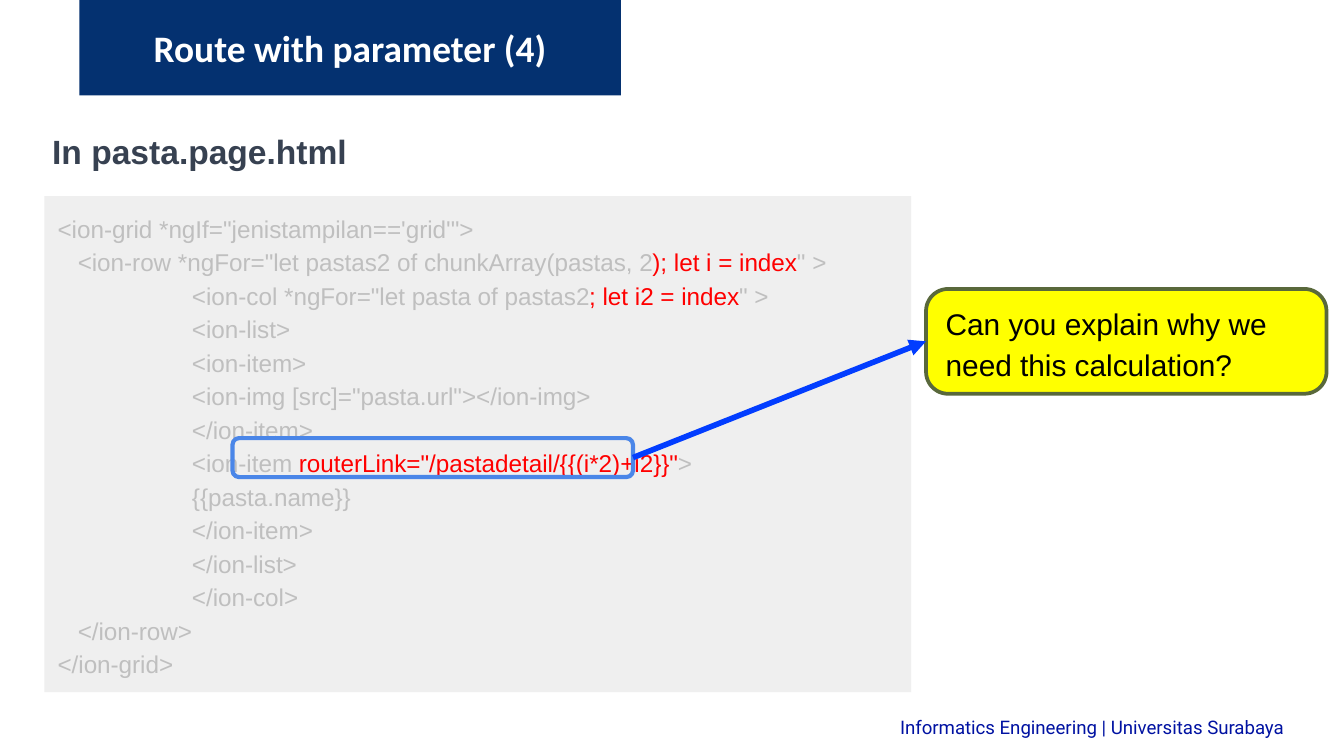
from lxml import etree
from pptx import Presentation
from pptx.dml.color import RGBColor
from pptx.enum.shapes import MSO_CONNECTOR, MSO_SHAPE
from pptx.enum.text import MSO_ANCHOR, MSO_AUTO_SIZE, PP_ALIGN
from pptx.oxml.ns import qn
from pptx.util import Inches, Pt

LEFT, CENTER, RIGHT = PP_ALIGN.LEFT, PP_ALIGN.CENTER, PP_ALIGN.RIGHT
TOP, MIDDLE = MSO_ANCHOR.TOP, MSO_ANCHOR.MIDDLE
RECT, ROUNDED = MSO_SHAPE.RECTANGLE, MSO_SHAPE.ROUNDED_RECTANGLE

# Content
TITLE = "Route with parameter (4)"
HEADING = "In pasta.page.html"
QUESTION = "Can you explain why we need this calculation?"
FOOTER = "Informatics Engineering | Universitas Surabaya"
# Each code line alternates between muted and highlighted parts
CODE = [
    ("<ion-grid *ngIf=\"jenistampilan=='grid'\">",),
    ('   <ion-row *ngFor="let pastas2 of chunkArray(pastas, 2', "); let i = index", '" >'),
    ('  \t<ion-col *ngFor="let pasta of pastas2', "; let i2 = index", '" >'),
    ("     \t<ion-list>",),
    ("        \t<ion-item>",),
    ('           \t<ion-img [src]="pasta.url"></ion-img>',),
    ("        \t</ion-item>",),
    ("        \t<ion-item ", 'routerLink="/pastadetail/{{(i*2)+i2}}"', ">"),
    ("            \t{{pasta.name}}",),
    ("        \t</ion-item>",),
    ("     \t</ion-list>",),
    (" \t</ion-col>",),
    ("   </ion-row>",),
    ("</ion-grid>",),
]
CODE_COLORS = ("BFBFBF", "FF0000")

# Places: left, top, width, height
TITLE_BOX = (0.59, 0, 4.03, 0.71)
HEADING_BOX = (0.29, 0.83, 9.43, 0.5)
CODE_BOX = (0.33, 1.46, 6.45, 3.69)
CALLOUT_BOX = (6.89, 2.15, 2.98, 0.78)
HIGHLIGHT_BOX = (1.73, 3.26, 2.98, 0.29)
FOOTER_BOX = (6.35, 5.28, 3.3, 0.24)

# Fonts
TITLE_FONT = {"name": "Calibri", "size": Pt(20), "bold": True}
HEADING_FONT = {"name": "Arial", "size": Pt(18), "bold": True}
CODE_FONT = {"name": "Arial", "size": Pt(13)}
QUESTION_FONT = {"name": "Arial", "size": Pt(16)}
FOOTER_FONT = {"name": "Roboto", "size": Pt(10)}


def color(hex_value):
    return RGBColor.from_string(hex_value)


def place(box):
    return [Inches(value) for value in box]


def paint(shape, fill):
    shape.fill.solid()
    shape.fill.fore_color.rgb = color(fill)


def add_box(kind, box, fill=None, line=None, width=1, corner=None):
    shape = slide.shapes.add_shape(kind, *place(box))
    shape.shadow.inherit = False
    if corner:
        shape.adjustments[0] = corner
    if fill:
        paint(shape, fill)
    else:
        shape.fill.background()
    if line:
        shape.line.color.rgb = color(line)
        shape.line.width = Pt(width)
    else:
        shape.line.fill.background()
    return shape


def write(shape, lines, font, colors, align=LEFT, anchor=TOP, spacing=1.15, pad=0.1):
    frame = shape.text_frame
    settings = {
        "word_wrap": True, "auto_size": MSO_AUTO_SIZE.NONE, "vertical_anchor": anchor,
        "margin_left": Inches(0.1), "margin_right": Inches(0.1),
        "margin_top": Inches(pad), "margin_bottom": Inches(pad),
    }
    for name, value in settings.items():
        setattr(frame, name, value)
    for number, parts in enumerate(lines):
        paragraph = frame.add_paragraph() if number else frame.paragraphs[0]
        paragraph.alignment = align
        paragraph.line_spacing = spacing
        if any("\t" in part for part in parts):
            tabs = etree.SubElement(paragraph._p.get_or_add_pPr(), qn("a:tabLst"))
            etree.SubElement(tabs, qn("a:tab"), pos=str(Inches(1)), algn="l")
        for index, part in enumerate(parts):
            run = paragraph.add_run()
            run.text = part
            for name, value in font.items():
                setattr(run.font, name, value)
            run.font.color.rgb = color(colors[index % len(colors)])


def add_text(box, text, font, text_color, **layout):
    write(slide.shapes.add_textbox(*place(box)), [(text,)], font, [text_color], **layout)


prs = Presentation()
prs.slide_width, prs.slide_height = Inches(10), Inches(10) * 9 // 16
slide = prs.slides.add_slide(prs.slide_layouts[5])

# Title as a banner with rounded bottom corners
title = slide.shapes.title
title.left, title.top, title.width, title.height = place(TITLE_BOX)
outline = etree.SubElement(title._element.spPr, qn("a:prstGeom"), prst="round2SameRect")
corners = etree.SubElement(outline, qn("a:avLst"))
for name, value in {"adj1": 0, "adj2": 50000}.items():
    etree.SubElement(corners, qn("a:gd"), name=name, fmla=f"val {value}")
paint(title, "043170")
write(title, [(TITLE,)], TITLE_FONT, ["FFFFFF"], align=CENTER, anchor=MIDDLE, spacing=1.0)

# Footer
add_text(FOOTER_BOX, FOOTER, FOOTER_FONT, "0012A2", align=RIGHT, anchor=MIDDLE)

# Code listing under its heading
code = add_box(RECT, CODE_BOX, fill="EFEFEF")
write(code, CODE, CODE_FONT, CODE_COLORS)
add_text(HEADING_BOX, HEADING, HEADING_FONT, "374151")

# Question callout and the code it refers to
callout = add_box(ROUNDED, CALLOUT_BOX, "FFFF00", "59683B", 2, 0.21)
write(callout, [(QUESTION,)], QUESTION_FONT, ["000000"], anchor=MIDDLE, pad=0.05)
highlight = add_box(ROUNDED, HIGHLIGHT_BOX, None, "4A86E8", 2.25, 0.17)

# Arrow from the highlighted code to the question
arrow = slide.shapes.add_connector(MSO_CONNECTOR.STRAIGHT, 0, 0, 0, 0)
arrow.begin_connect(highlight, 3)
arrow.end_connect(callout, 1)
arrow.line.color.rgb = color("023DFF")
arrow.line.width = Pt(3)
etree.SubElement(arrow.line._get_or_add_ln(), qn("a:tailEnd"), type="triangle")
etree.SubElement(arrow._element.spPr, qn("a:effectLst"))

prs.save("out.pptx")
